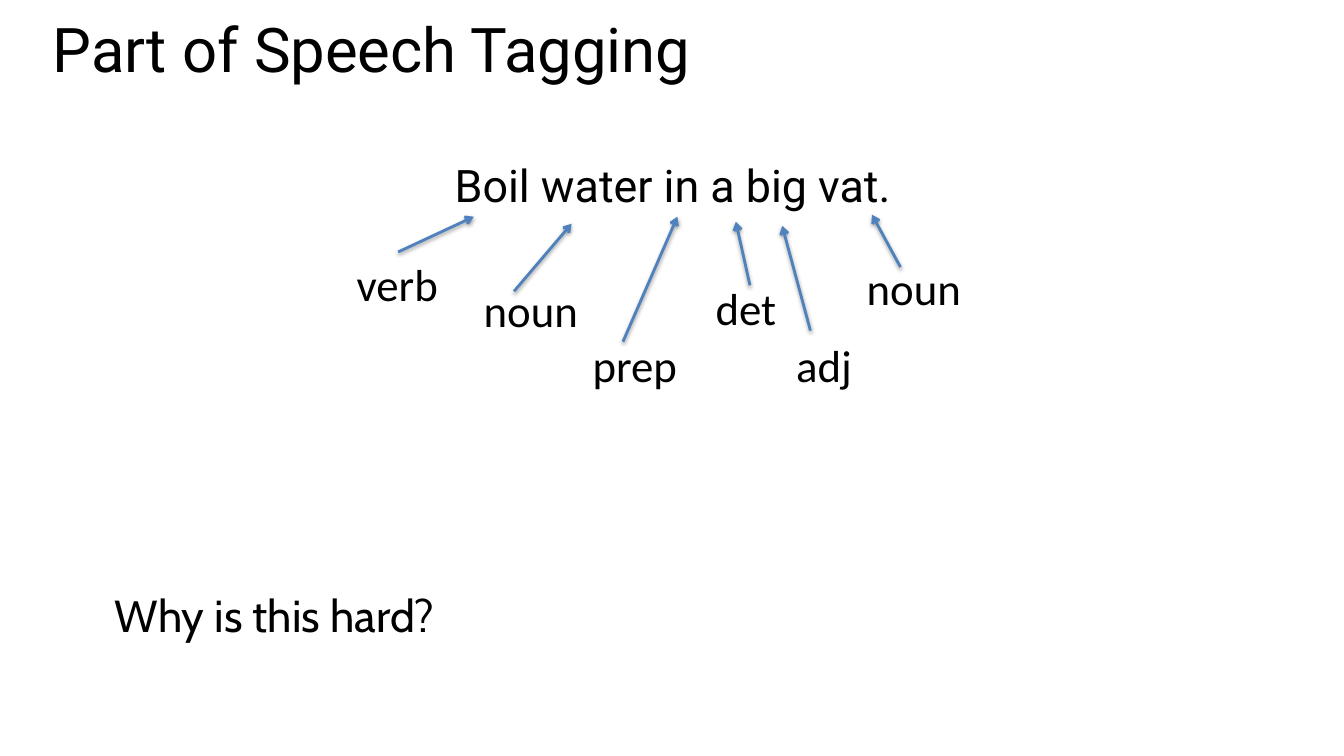
from dataclasses import dataclass

from lxml.etree import SubElement
from pptx import Presentation
from pptx.dml.color import RGBColor
from pptx.enum.shapes import MSO_CONNECTOR
from pptx.enum.text import MSO_ANCHOR, MSO_AUTO_SIZE, PP_ALIGN
from pptx.oxml import parse_xml
from pptx.oxml.ns import nsdecls, qn
from pptx.util import Inches, Pt


@dataclass(frozen=True)
class Theme:
    ink: RGBColor = RGBColor(0x00, 0x00, 0x00)
    arrow: RGBColor = RGBColor(0x4F, 0x81, 0xBD)
    title_size: Pt = Pt(44)
    text_size: Pt = Pt(32)
    arrow_width: Pt = Pt(2)
    heading_font: str = "Roboto"
    tag_font: str = "Calibri"
    question_font: str = "Cabin"


theme = Theme()
deck = Presentation()
deck.slide_width, deck.slide_height = Inches(13.33), Inches(7.5)
slide = deck.slides.add_slide(deck.slide_layouts[5])


def place(across, down):
    """Turn percentages of the slide's width and height into lengths."""
    return int(deck.slide_width * across / 100), int(deck.slide_height * down / 100)


def write(text, position, size, font, *, shape=None, points=theme.text_size,
          wrap=True, anchor=MSO_ANCHOR.TOP, fit=MSO_AUTO_SIZE.NONE, spacing=1.0):
    """Fill the given shape, or a new text box, with one formatted paragraph."""
    shape = shape or slide.shapes.add_textbox(0, 0, 0, 0)
    shape.left, shape.top = place(*position)
    shape.width, shape.height = place(*size)
    frame = shape.text_frame
    frame.text = text
    frame.word_wrap = wrap
    frame.auto_size = fit
    frame.vertical_anchor = anchor
    paragraph = frame.paragraphs[0]
    paragraph.alignment = PP_ALIGN.LEFT
    paragraph.line_spacing = spacing
    letters = paragraph.runs[0].font
    letters.name, letters.size = font, points
    letters.color.rgb = theme.ink
    return shape


write("Part of Speech Tagging", (3.15, 2.67), (94.5, 15.47), theme.heading_font,
      shape=slide.shapes.title, points=theme.title_size, spacing=0.8)

sentence = write("Boil water in a big vat.", (3.08, 20.27), (94.5, 8.4),
                 theme.heading_font, anchor=MSO_ANCHOR.MIDDLE)
indent = sentence.text_frame.paragraphs[0]._p.get_or_add_pPr()
indent.set("marL", str(Inches(4)))
indent.set("indent", "0")

# Tag, its corner, its width, arrow start (None: middle of the tag's top), arrow end
tags = [
    ("verb", (25.8, 33.33), 7.65, None, (35.25, 28.67)),
    ("noun", (35.25, 36.8), 8.63, (38.25, 38.53), (42.53, 29.6)),
    ("prep", (43.35, 44), 7.88, (46.35, 45.2), (50.4, 28.67)),
    ("det", (52.5, 36.53), 6.08, (55.8, 37.73), (54.75, 29.33)),
    ("adj", (58.5, 44), 5.7, (60.3, 43.73), (58.2, 29.87)),
    ("noun", (63.75, 33.87), 8.63, (67, 35.33), (64.88, 28.4)),
]
line_height = 8.53

for word, corner, width, start, end in tags:
    tag = write(word, corner, (width, line_height), theme.tag_font,
                wrap=False, fit=MSO_AUTO_SIZE.SHAPE_TO_FIT_TEXT)
    arrow = slide.shapes.add_connector(
        MSO_CONNECTOR.STRAIGHT, *place(*(start or corner)), *place(*end))
    if start is None:
        arrow.begin_connect(tag, 0)
    arrow.line.color.rgb = theme.arrow
    arrow.line.width = theme.arrow_width
    SubElement(arrow.line._get_or_add_ln(), qn("a:tailEnd"), type="arrow")
    arrow._element.spPr.append(parse_xml(
        f'<a:effectLst {nsdecls("a")}>'
        f'<a:outerShdw blurRad="{Pt(3.1)}" dist="{Pt(1.6)}" dir="5400000" rotWithShape="0">'
        '<a:srgbClr val="000000"><a:alpha val="38000"/></a:srgbClr>'
        '</a:outerShdw></a:effectLst>'))

write("Why is this hard?", (7.8, 77.07), (27.3, line_height), theme.question_font,
      fit=MSO_AUTO_SIZE.SHAPE_TO_FIT_TEXT)

deck.save("out.pptx")
